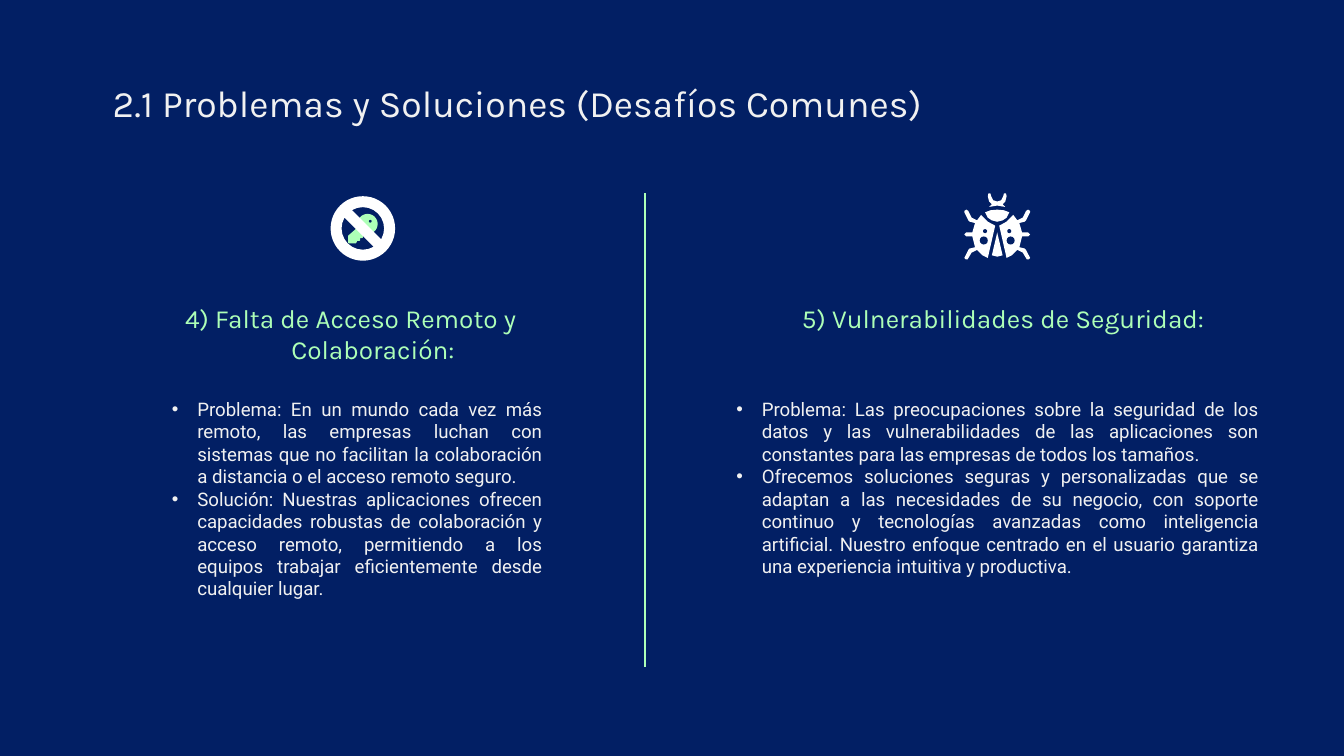
from math import cos, radians, sin

from lxml import etree
from pptx import Presentation
from pptx.dml.color import RGBColor
from pptx.enum.shapes import MSO_CONNECTOR, MSO_SHAPE as SHAPE
from pptx.enum.text import PP_ALIGN as ALIGN
from pptx.oxml.ns import qn
from pptx.util import Inches, Pt

NAVY, MINT, WHITE, PALE = "021F64", "ADFFB7", "FFFFFF", "F1F1F1"

# Right halves of the beetle, measured from the top of its axis
ANTENNAE = [(0, .06), (.03, .05), (.045, .02), (.05, 0), (.065, 0), (.07, .02),
            (.06, .06), (.04, .08), (.06, .1), (0, .09)]
HEAD = [(0, .12), (.05, .125), (.09, .14), (.07, .18), (.04, .2), (0, .21)]
TAIL = [(0, .29), (.04, .46), (0, .47)]
WING = [(.015, .24), (.07, .21), (.12, .16), (.15, .2), (.19, .18), (.215, .13),
        (.23, .12), (.245, .13), (.245, .14), (.215, .2), (.205, .21),
        (.165, .22), (.185, .29), (.23, .29), (.245, .305), (.23, .32),
        (.185, .32), (.165, .4), (.205, .41), (.215, .42), (.245, .48),
        (.235, .49), (.22, .49), (.19, .44), (.15, .42), (.11, .46), (.07, .48)]


def rgb(color):
    return RGBColor.from_string(color)


def paint(sp, color):
    sp.shadow.inherit = False
    sp.fill.solid()
    sp.fill.fore_color.rgb = rgb(color)
    sp.line.fill.background()


def add_polygon(shapes, points, color):
    points = [(Inches(x), Inches(y)) for x, y in points]
    builder = shapes.build_freeform(*points[0])
    builder.add_line_segments(points[1:], close=True)
    sp = builder.convert_to_shape()
    paint(sp, color)
    return sp


def add_preset(shapes, kind, x, y, w, h, color):
    sp = shapes.add_shape(kind, Inches(x), Inches(y), Inches(w), Inches(h))
    paint(sp, color)
    return sp


def add_text(slide, box, paragraphs, font, size, color, align=ALIGN.LEFT,
             indent=(0, 0), bullet=False):
    tf = slide.shapes.add_textbox(*[Inches(v) for v in box]).text_frame
    tf.word_wrap = True
    tf.margin_left = tf.margin_right = tf.margin_top = tf.margin_bottom = Inches(.1)
    for i, text in enumerate(paragraphs):
        p = tf.paragraphs[0] if i == 0 else tf.add_paragraph()
        p.text = text
        p.alignment = align
        pPr = p._p.get_or_add_pPr()
        pPr.set("marL", str(Inches(indent[0])))
        pPr.set("indent", str(Inches(indent[1])))
        if bullet:
            bu_color = etree.SubElement(pPr, qn("a:buClr"))
            etree.SubElement(bu_color, qn("a:srgbClr"), val=color)
            etree.SubElement(pPr, qn("a:buFont"), typeface="Arial")
            etree.SubElement(pPr, qn("a:buChar"), char="•")
        f = p.runs[0].font
        f.name, f.size, f.color.rgb = font, Pt(size), rgb(color)


def add_column(slide, heading_box, heading, body_box, points):
    add_text(slide, heading_box, [heading], "Karla", 14, MINT, ALIGN.CENTER,
             (.5, -.33))
    add_text(slide, body_box, points, "Roboto", 10, PALE, ALIGN.JUSTIFY,
             (.19, -.19), bullet=True)


def add_no_access_icon(slide, x, y, size):
    # Key: round bow, with a toothed shaft running down to the left
    cx, cy, r = x + .51 * size, y + .43 * size, .07
    bow = [(cx + .03 + r * cos(radians(a)), cy + r * sin(radians(a)))
           for a in range(-170, 101, 15)]
    shaft = [(-.01, .08), (-.01, .1), (-.03, .1), (-.03, .12), (-.05, .12),
             (-.06, .14), (-.11, .14), (-.11, .09), (-.03, .02)]
    key = add_polygon(slide.shapes, bow + [(cx + dx, cy + dy) for dx, dy in shaft],
                      MINT)
    key.line.color.rgb = rgb(MINT)
    key.line.width = Pt(.75)
    add_preset(slide.shapes, SHAPE.OVAL, cx + .04, cy - .03, .02, .02, NAVY)
    # Prohibition ring
    ring = add_preset(slide.shapes, SHAPE.NO_SYMBOL, x, y, size, size, WHITE)
    ring.adjustments[0] = .17


def add_beetle_icon(slide, cx, top):
    shapes = slide.shapes.add_group_shape().shapes
    # Parts crossing the axis
    for half in (ANTENNAE, HEAD, TAIL):
        outline = half + [(-dx, dy) for dx, dy in reversed(half[1:-1])]
        add_polygon(shapes, [(cx + dx, top + dy) for dx, dy in outline], WHITE)
    # Spotted wings with legs
    for side in (-1, 1):
        add_polygon(shapes, [(cx + side * dx, top + dy) for dx, dy in WING], WHITE)
        for dx, dy, d in ((.09, .28, .03), (.1, .35, .06)):
            add_preset(shapes, SHAPE.OVAL, cx + side * dx - d / 2,
                       top + dy - d / 2, d, d, NAVY)


def add_divider(slide, x, top, bottom):
    line = slide.shapes.add_connector(MSO_CONNECTOR.STRAIGHT, Inches(x),
                                      Inches(top), Inches(x), Inches(bottom))
    line.line.color.rgb = rgb(MINT)
    line.line.width = Pt(.75)
    etree.SubElement(line._element.spPr, qn("a:effectLst"))


def main():
    prs = Presentation()
    prs.slide_width = Inches(10)
    prs.slide_height = Inches(10) * 9 // 16
    slide = prs.slides.add_slide(prs.slide_layouts[6])
    slide.background.fill.solid()
    slide.background.fill.fore_color.rgb = rgb(NAVY)

    add_text(slide, (.74, .5, 9.46, .63),
             ["2.1 Problemas y Soluciones (Desafíos Comunes)"], "Karla", 20, PALE)
    add_divider(slide, 4.8, 1.44, 4.96)

    # Left column
    add_no_access_icon(slide, 2.46, 1.46, .48)
    add_column(slide, (.52, 2.15, 4.01, .63),
               "4) Falta de Acceso Remoto y Colaboración:",
               (1.18, 2.86, 2.95, 1.89), [
        "Problema: En un mundo cada vez más remoto, las empresas luchan con "
        "sistemas que no facilitan la colaboración a distancia o el acceso "
        "remoto seguro.",
        "Solución: Nuestras aplicaciones ofrecen capacidades robustas de "
        "colaboración y acceso remoto, permitiendo a los equipos trabajar "
        "eficientemente desde cualquier lugar."])

    # Right column
    add_beetle_icon(slide, 7.42, 1.44)
    add_column(slide, (5.22, 2.15, 4.32, .73),
               "5) Vulnerabilidades de Seguridad:",
               (5.38, 2.86, 4.08, 1.68), [
        "Problema: Las preocupaciones sobre la seguridad de los datos y las "
        "vulnerabilidades de las aplicaciones son constantes para las empresas "
        "de todos los tamaños.",
        "Ofrecemos soluciones seguras y personalizadas que se adaptan a las "
        "necesidades de su negocio, con soporte continuo y tecnologías avanzadas "
        "como inteligencia artificial. Nuestro enfoque centrado en el usuario "
        "garantiza una experiencia intuitiva y productiva."])

    prs.save("out.pptx")


if __name__ == "__main__":
    main()
